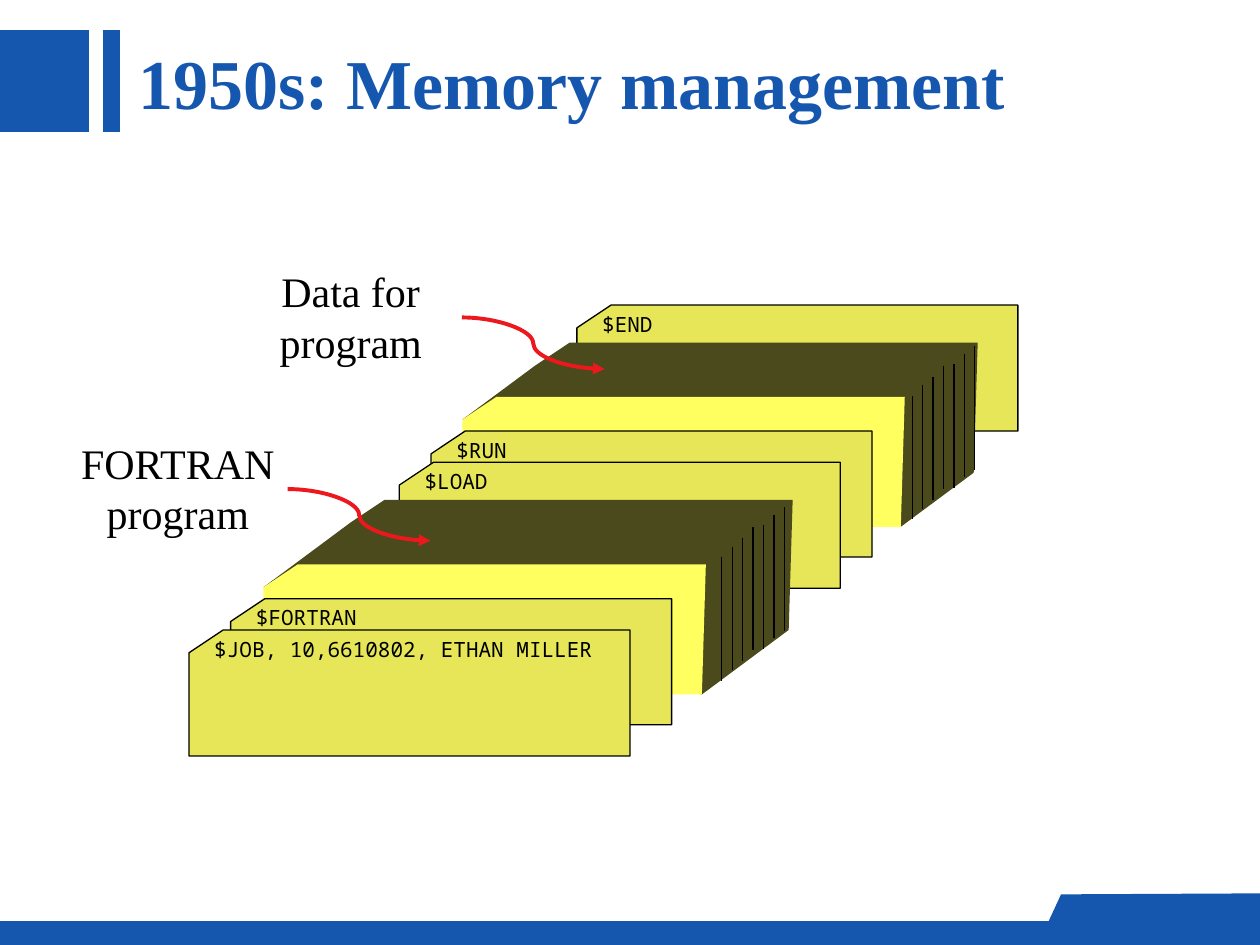
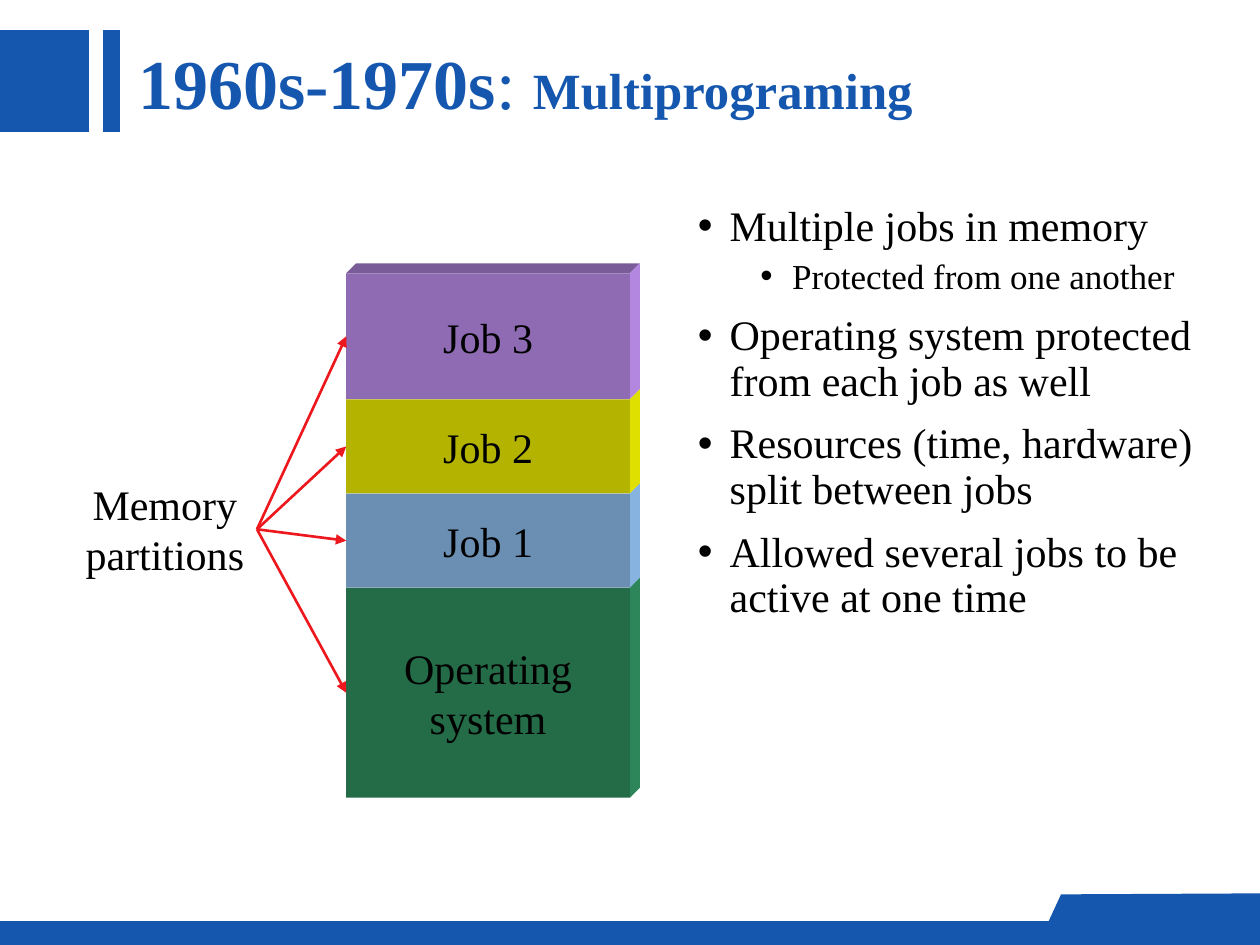
from lxml import etree
from pptx import Presentation
from pptx.dml.color import RGBColor
from pptx.enum.shapes import MSO_CONNECTOR, MSO_SHAPE
from pptx.enum.text import MSO_ANCHOR, MSO_AUTO_SIZE, PP_ALIGN
from pptx.oxml.ns import qn
from pptx.util import Cm, Pt

LEFT, CENTER = PP_ALIGN.LEFT, PP_ALIGN.CENTER
MIDDLE = MSO_ANCHOR.MIDDLE
NO_FIT = MSO_AUTO_SIZE.NONE
RECT = MSO_SHAPE.RECTANGLE
PROCESS = MSO_SHAPE.FLOWCHART_PROCESS
STRAIGHT, CURVE = MSO_CONNECTOR.STRAIGHT, MSO_CONNECTOR.CURVE
SERIF, MONO = "Times New Roman", "Noto Sans Mono"
COLORS = {
    "blue": "1557AE", "black": "000000", "red": "ED181E",
    "card": "E6E658", "deck": "FFFF60", "deck_side": "4A4A1C",
    "job3": "8F6BB3", "job3_side": "B386E0", "job3_top": "7A5C99",
    "job2": "B3B300", "job2_side": "E0E000",
    "job1": "6B8FB3", "job1_side": "86B3E0",
    "os": "246B47", "os_side": "2D8659",
}
RGB = {name: RGBColor.from_string(value) for name, value in COLORS.items()}


def write(p, text, size, align=LEFT, font=SERIF, color="black", bold=False):
    p.alignment = align
    style = {"name": font, "size": Pt(size), "bold": bold}
    for i, line in enumerate(text.split("\n")):
        if i:
            p.add_line_break()
        r = p.add_run()
        r.text = line
        for key, value in style.items():
            setattr(r.font, key, value)
        r.font.color.rgb = RGB[color]


def outline(s, points, fill, line=None):
    corners = [(Cm(x), Cm(y)) for x, y in points]
    builder = s.shapes.build_freeform(*corners[0])
    builder.add_line_segments(corners[1:], close=True)
    sp = builder.convert_to_shape()
    sp.shadow.inherit = False
    sp.fill.solid()
    sp.fill.fore_color.rgb = RGB[fill]
    if line:
        sp.line.color.rgb = RGB[line]
        sp.line.width = Pt(0.75)
    else:
        sp.line.fill.background()
    return sp


prs = Presentation()
prs.slide_width, prs.slide_height = Cm(25.4), Cm(19.05)
layout = prs.slide_layouts[5]

titles = [
    [("1950s: Memory management", 40, True)],
    [("1960s-1970s", 40, True), (": ", 40, False), ("Multiprograming", 29, True)],
]
title_format = {"left": Cm(2.54), "top": Cm(0.74), "width": Cm(22.5), "height": Cm(1.8)}
for runs in titles:
    s = prs.slides.add_slide(layout)
    title = s.shapes.title
    for key, value in title_format.items():
        setattr(title, key, value)
    tf = title.text_frame
    tf.word_wrap, tf.auto_size, tf.vertical_anchor = True, NO_FIT, MIDDLE
    for text, size, bold in runs:
        write(tf.paragraphs[0], text, size, color="blue", bold=bold)
cards_slide, jobs_slide = prs.slides

bands = []
for box in [(0, 0.61, 1.8, 2.06), (2.07, 0.61, 0.36, 2.06), (0, 18.57, 25.4, 0.48)]:
    sp = cards_slide.shapes.add_shape(PROCESS, *map(Cm, box))
    sp.shadow.inherit = False
    sp.fill.solid()
    sp.fill.fore_color.rgb = RGB["blue"]
    sp.line.fill.background()
    bands.append(sp)
footer_tab = [(25.4, 18.92), (25.4, 18.01), (21.39, 18.03), (20.98, 18.92)]
bands.append(outline(cards_slide, footer_tab, "blue"))
for sp in bands:
    layout.shapes.element.append(sp.element)

CARD_W, CARD_H, CUT_W, CUT_H = 8.89, 2.54, 0.69, 0.46
DECK_W, DECK_H, DECK_SLANT = 8.92, 2.62, 0.08
pile = [
    ("card", 11.63, 6.15, "$END"),
    ("deck", 9.32, 8.0, (1.47, -1.09)),
    ("card", 8.69, 8.69, "$RUN"),
    ("card", 8.05, 9.32, "$LOAD"),
    ("deck", 5.31, 11.38, (1.75, -1.3)),
    ("card", 4.65, 12.07, "$FORTRAN"),
    ("card", 3.81, 12.7, "$JOB, 10,6610802, ETHAN MILLER"),
]
for kind, x, y, detail in pile:
    if kind == "deck":
        dx, dy = detail
        right, bottom = x + DECK_W, y + DECK_H
        low_right = right - DECK_SLANT
        outline(cards_slide, [(x, y + CUT_H), (x + dx, y + CUT_H + dy),
                              (x + CUT_W + dx, y + dy), (right + dx, y + dy),
                              (low_right + dx, bottom + dy), (low_right, bottom)], "deck_side")
        outline(cards_slide, [(x, y + CUT_H), (x + CUT_W, y), (right, y),
                              (low_right, bottom), (x, bottom)], "deck")
        continue
    outline(cards_slide, [(x, y + CUT_H), (x + CUT_W, y), (x + CARD_W, y),
                          (x + CARD_W, y + CARD_H), (x, y + CARD_H)], "card", "black")
    tf = cards_slide.shapes.add_textbox(Cm(x), Cm(y), Cm(CARD_W), Cm(0.78)).text_frame
    tf.word_wrap, tf.margin_left = True, Cm(0.51)
    write(tf.paragraphs[0], detail, 12, font=MONO)

labels = [
    (cards_slide, "FORTRAN\nprogram", 1.35, 8.69, 4.47),
    (cards_slide, "Data for\nprogram", 5.38, 5.23, 3.38),
    (jobs_slide, "Memory\npartitions", 1.47, 9.52, 3.71),
]
for s, text, x, y, w in labels:
    tf = s.shapes.add_textbox(Cm(x), Cm(y), Cm(w), Cm(2.29)).text_frame
    tf.word_wrap, tf.margin_left, tf.margin_right = True, 0, 0
    write(tf.paragraphs[0], text, 24, CENTER)

connectors = []
for x, y in [(14.55, 11.23), (18.39, 7.98)]:
    for i, rise in enumerate([0, 0.21, 0.39, 0.61, 0.64, 0.85, 1]):
        edge_x, edge_y = x + i * 0.21, y - rise
        connectors.append((cards_slide, STRAIGHT, edge_x, edge_y, edge_x, edge_y + 2.49, "black", 0.75))
for x, y in [(5.8, 9.86), (9.31, 6.4)]:
    connectors.append((cards_slide, CURVE, x, y, x + 2.88, y + 1.04, "red", 2.25))

BLOCK_X, BLOCK_W, DEPTH = 6.98, 5.72, 0.2
block_right = BLOCK_X + BLOCK_W
y = 5.51
outline(jobs_slide, [(BLOCK_X, y), (BLOCK_X + DEPTH, y - DEPTH),
                     (block_right + DEPTH, y - DEPTH), (block_right, y)], "job3_top")
blocks = [("Job 3", 2.54, "job3"), ("Job 2", 1.9, "job2"),
          ("Job 1", 1.9, "job1"), ("Operating\nsystem", 4.23, "os")]
for text, h, color in blocks:
    outline(jobs_slide, [(block_right, y), (block_right + DEPTH, y - DEPTH),
                         (block_right + DEPTH, y + h - DEPTH), (block_right, y + h)], color + "_side")
    sp = jobs_slide.shapes.add_shape(RECT, Cm(BLOCK_X), Cm(y), Cm(BLOCK_W), Cm(h))
    sp.shadow.inherit = False
    sp.fill.solid()
    sp.fill.fore_color.rgb = RGB[color]
    sp.line.fill.background()
    tf = sp.text_frame
    tf.word_wrap, tf.vertical_anchor = True, MIDDLE
    write(tf.paragraphs[0], text, 24, CENTER)
    connectors.append((jobs_slide, STRAIGHT, 5.18, 10.67, BLOCK_X, y + h / 2, "red", 1.5))
    y += h

for s, kind, x1, y1, x2, y2, color, width in connectors:
    cxn = s.shapes.add_connector(kind, Cm(x1), Cm(y1), Cm(x2), Cm(y2))
    cxn.line.color.rgb = RGB[color]
    cxn.line.width = Pt(width)
    spPr = cxn.element.spPr
    if color == "red":
        etree.SubElement(spPr.find(qn("a:ln")), qn("a:tailEnd"), type="triangle")
    etree.SubElement(spPr, qn("a:effectLst"))

points = [
    (0, "Multiple jobs in memory"),
    (1, "Protected from one another"),
    (0, "Operating system protected from each job as well"),
    (0, "Resources (time, hardware) split between jobs"),
    (0, "Allowed several jobs to be active at one time"),
]
tf = jobs_slide.shapes.add_textbox(Cm(13.82), Cm(4.01), Cm(11.07), Cm(13.77)).text_frame
tf.word_wrap = True
for i, (level, text) in enumerate(points):
    p = tf.add_paragraph() if i else tf.paragraphs[0]
    p.level = level
    p.line_spacing = 0.9
    p.space_before = Pt((10, 5)[level] if i else 0)
    pPr = p._p.get_or_add_pPr()
    pPr.set("marL", str(Cm((0.64, 1.9)[level])))
    pPr.set("indent", str(Cm(-0.64)))
    etree.SubElement(pPr, qn("a:buFont"), typeface="Arial")
    etree.SubElement(pPr, qn("a:buChar"), char="•")
    write(p, text, (24, 20)[level])

prs.save("out.pptx")
